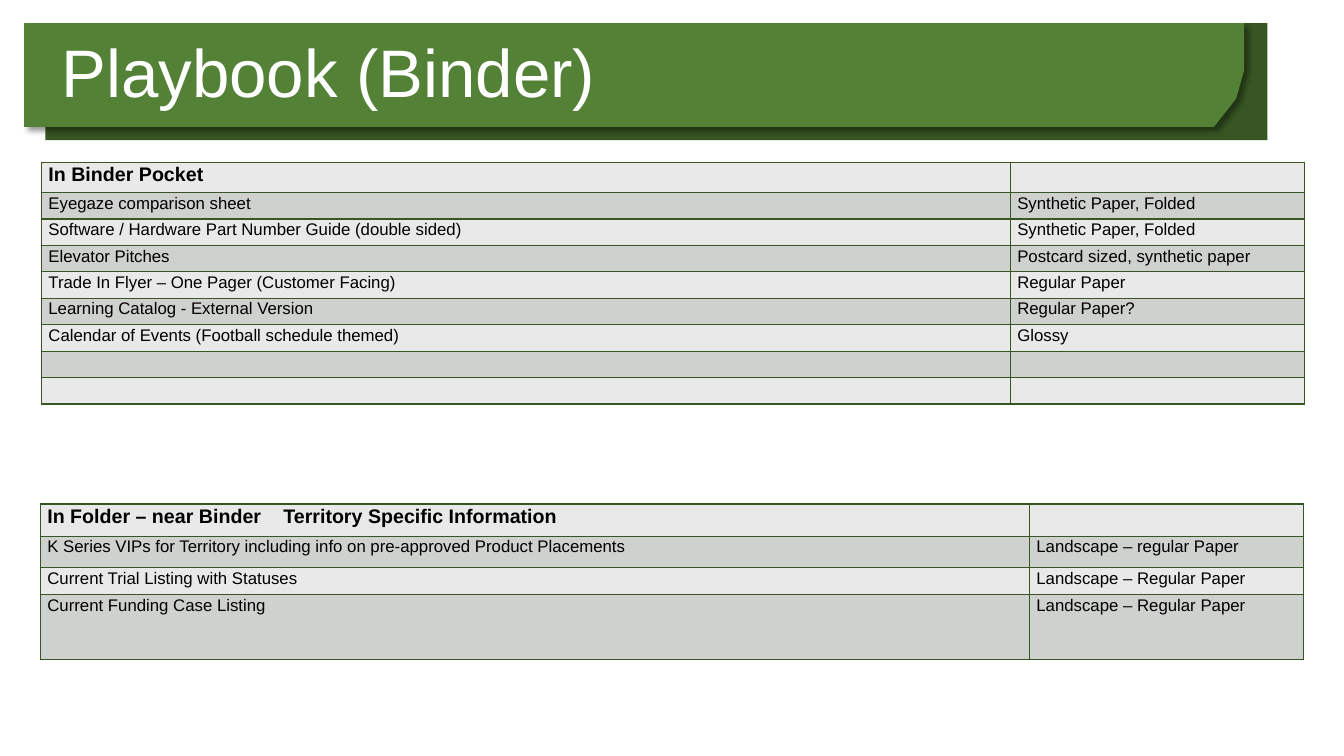
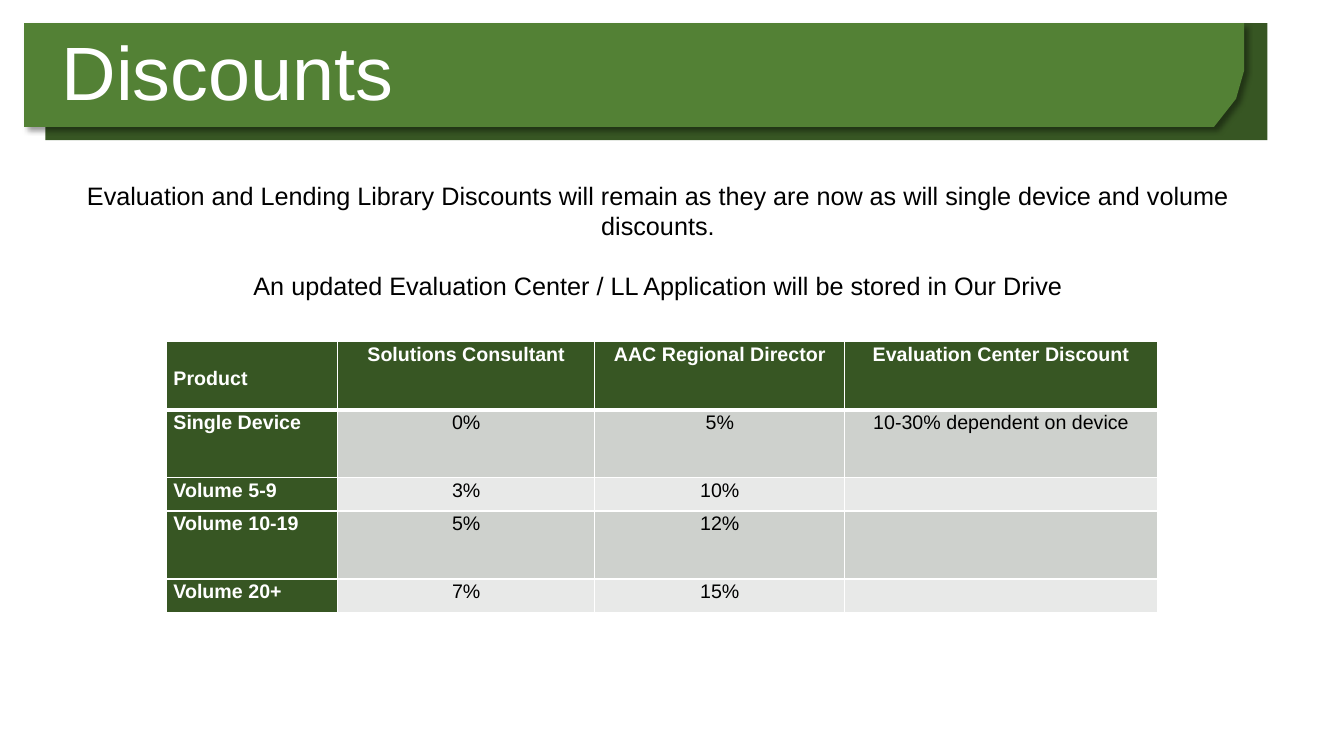
from lxml.etree import SubElement, Element
from pptx import Presentation
from pptx.dml.color import RGBColor
from pptx.enum.shapes import MSO_SHAPE
from pptx.enum.text import MSO_ANCHOR, PP_ALIGN
from pptx.oxml.ns import qn
from pptx.util import Inches, Pt


class Theme:
    font = "Arial"
    dark, green, white, black = "375623", "538135", "FFFFFF", "000000"
    stripes = ("E8E9E8", "CED1CD")
    small, medium, body = 12, 14, 18


WIDTH, HEIGHT = Inches(13.33), Inches(7.5)

# Content: positions are percentages of the slide's width and height
BAND_BACK = (3.38, 3.07, 90.92, 15.47)
BAND_FRONT = [(1.8, 3.07), (92.57, 3.07), (92.57, 9.33),
              (91.97, 13.07), (90.32, 16.8), (1.8, 16.8)]
TITLE_BOX = (3.83, 4.8, 82.37, 10.53)

BINDER = dict(
    left=3.08, top=21.47, cols=[72.09, 21.91], rows=[4] + [3.5] * 8,
    cells=[
        ("In Binder Pocket", ""),
        ("Eyegaze comparison sheet", "Synthetic Paper, Folded"),
        ("Software / Hardware Part Number Guide (double sided)", "Synthetic Paper, Folded"),
        ("Elevator Pitches", "Postcard sized, synthetic paper"),
        ("Trade In Flyer – One Pager (Customer Facing)", "Regular Paper"),
        ("Learning Catalog - External Version", "Regular Paper?"),
        ("Calendar of Events (Football schedule themed)", "Glossy"),
        ("", ""),
        ("", ""),
    ])
FOLDER = dict(
    left=3, top=66.67, cols=[73.59, 20.41], rows=[4.27, 4.13, 3.6, 8.53],
    cells=[
        ("In Folder – near Binder\tTerritory Specific Information", ""),
        ("K Series VIPs for Territory including info on pre-approved Product Placements",
         "Landscape – regular Paper"),
        ("Current Trial Listing with Statuses", "Landscape – Regular Paper"),
        ("Current Funding Case Listing", "Landscape – Regular Paper"),
    ])
DISCOUNTS = dict(
    left=12.38, top=45.2, cols=[12.75, 19.13, 18.6, 23.26], rows=[9, 9, 4.4, 9, 4.4],
    cells=[
        ("Product", "Solutions Consultant", "AAC Regional Director",
         "Evaluation Center Discount"),
        ("Single Device", "0%", "5%", "10-30% dependent on device"),
        ("Volume 5-9", "3%", "10%", ""),
        ("Volume 10-19", "5%", "12%", ""),
        ("Volume 20+", "7%", "15%", ""),
    ])
NOTICE_BOX = (2.18, 23.2, 93.55, 18)
NOTICE = [
    "Evaluation and Lending Library Discounts will remain as they are now "
    "as will single device and volume discounts.",
    "An updated Evaluation Center / LL Application will be stored in Our Drive",
]


def x(share):
    return round(WIDTH * share / 100)


def y(share):
    return round(HEIGHT * share / 100)


def place(box):
    left, top, width, height = box
    return x(left), y(top), x(width), y(height)


def paint(sp, color):
    sp.fill.solid()
    sp.fill.fore_color.rgb = RGBColor.from_string(color)
    sp.line.fill.background()
    sp.shadow.inherit = False


def write(tf, *texts, size, color=Theme.black, bold=False, align=PP_ALIGN.LEFT,
          spacing=1.0, gap=0, tab=None):
    """Fill a text frame, one paragraph for each text."""
    tf.word_wrap = True
    for i, text in enumerate(texts):
        p = tf.add_paragraph() if i else tf.paragraphs[0]
        p.alignment, p.line_spacing = align, spacing
        if i:
            p.space_before = Pt(gap)
        if tab:
            stops = SubElement(p._p.get_or_add_pPr(), qn("a:tabLst"))
            SubElement(stops, qn("a:tab"), pos=str(tab), algn="l")
        if not text:
            SubElement(p._p, qn("a:endParaRPr"), sz=str(size * 100))
            continue
        r = p.add_run()
        r.text = text
        r.font.name, r.font.size, r.font.bold = Theme.font, Pt(size), bold
        r.font.color.rgb = RGBColor.from_string(color)


def set_borders(cell, color, **widths):
    tc_pr = cell._tc.get_or_add_tcPr()
    for i, side in enumerate("LRTB"):
        ln = Element(qn(f"a:ln{side}"), w=str(Pt(widths.get(side, 1))))
        fill = SubElement(ln, qn("a:solidFill"))
        SubElement(fill, qn("a:srgbClr"), val=color)
        tc_pr.insert(i, ln)


def add_grid(slide, left, top, cols, rows, cells, style):
    """Add a table; style(row, column) gives fill, border and text format."""
    table = slide.shapes.add_table(len(rows), len(cols), x(left), y(top),
                                   x(sum(cols)), y(sum(rows))).table
    table.first_row = table.horz_banding = False
    for col, share in zip(table.columns, cols):
        col.width = x(share)
    for i, (row, share) in enumerate(zip(table.rows, rows)):
        row.height = y(share)
        for j, (cell, text) in enumerate(zip(row.cells, cells[i])):
            fill, border, widths, fmt = style(i, j)
            cell.margin_left = cell.margin_right = Inches(0.07)
            cell.margin_top = cell.margin_bottom = 0
            cell.fill.solid()
            cell.fill.fore_color.rgb = RGBColor.from_string(fill)
            set_borders(cell, border, **widths)
            write(cell.text_frame, text, spacing=1.07, **fmt)
    return table


def list_style(i, j):
    fmt = dict(size=Theme.small)
    if i == 0:
        fmt = dict(size=Theme.medium, bold=True, tab=Inches(2.34))
    return Theme.stripes[i % 2], Theme.dark, {}, fmt


def discount_style(i, j):
    header = i == 0 or j == 0
    fmt = dict(size=Theme.medium, bold=header,
               color=Theme.white if header else Theme.black,
               align=PP_ALIGN.CENTER if j else PP_ALIGN.LEFT)
    # Thick rule between the header row and the rows below
    widths = {0: {"B": 3}, 1: {"T": 3}}.get(i, {})
    return Theme.dark if header else Theme.stripes[i % 2], Theme.white, widths, fmt


def add_titled_slide(prs, title, size):
    slide = prs.slides.add_slide(prs.slide_layouts[6])
    # Dark band behind
    back = slide.shapes.add_shape(MSO_SHAPE.RECTANGLE, *place(BAND_BACK))
    paint(back, Theme.dark)
    # Cut-corner band with its shadow
    points = [(x(px), y(py)) for px, py in BAND_FRONT]
    outline = slide.shapes.build_freeform(*points[0])
    outline.add_line_segments(points[1:], close=True)
    front = outline.convert_to_shape()
    paint(front, Theme.green)
    effects = front._element.spPr.find(qn("a:effectLst"))
    shadow = SubElement(effects, qn("a:outerShdw"), blurRad=str(Pt(4)), dist=str(Pt(3)),
                        dir="2700000", algn="tl", rotWithShape="0")
    color = SubElement(shadow, qn("a:srgbClr"), val=Theme.black)
    SubElement(color, qn("a:alpha"), val="40000")
    # Title
    tf = slide.shapes.add_textbox(*place(TITLE_BOX)).text_frame
    tf.vertical_anchor = MSO_ANCHOR.MIDDLE
    write(tf, title, size=size, color=Theme.white, spacing=0.9)
    return slide


def main():
    prs = Presentation()
    prs.slide_width, prs.slide_height = WIDTH, HEIGHT

    # Playbook lists
    slide = add_titled_slide(prs, "Playbook (Binder)", 48)
    for grid in (BINDER, FOLDER):
        add_grid(slide, **grid, style=list_style)

    # Discounts
    slide = add_titled_slide(prs, "Discounts", 54)
    notice = slide.shapes.add_textbox(*place(NOTICE_BOX))
    write(notice.text_frame, *NOTICE, size=Theme.body, align=PP_ALIGN.CENTER, gap=21)
    table = add_grid(slide, **DISCOUNTS, style=discount_style)
    table.cell(0, 0).margin_top = Inches(0.24)

    prs.save("out.pptx")


if __name__ == "__main__":
    main()
